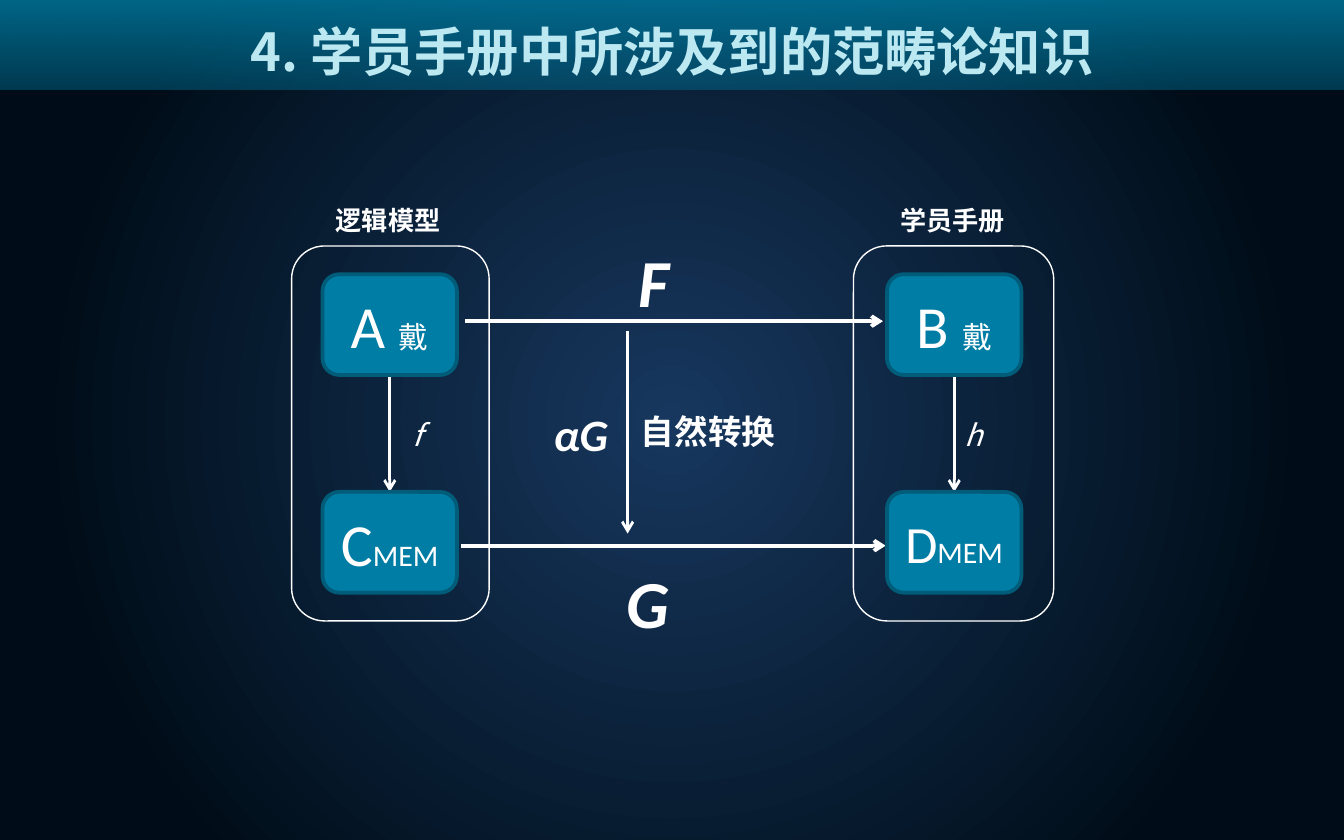
from lxml import etree
from pptx import Presentation
from pptx.dml.color import RGBColor
from pptx.enum import shapes, text
from pptx.oxml import ns, parse_xml
from pptx.util import Inches, Pt

COLORS = {"white": "FFFFFF", "teal": "007DA4", "teal_edge": "005C79",
          "title": "BCE8F2", "glow": "17375E", "night": "000D18"}
LATIN, CJK = "Calibri", "Noto Sans CJK SC"

TITLE = "4. 学员手册中所涉及到的范畴论知识"
# left, top, width, height of each category frame
FRAMES = [(2.17, 1.83, 1.47, 2.79), (6.35, 1.83, 1.49, 2.79)]
COLUMNS, ROWS = (2.4, 6.6), (2.04, 3.66)
NODE_WIDTH, NODE_HEIGHT = 1, 0.75
# row by row: letter, letter size, suffix
NODES = [[("A ", 32, "戴"), ("B ", 32, "戴")],
         [("C", 32, "MEM"), ("D", 28, "MEM")]]
# text, (left, top, width, height), format
LABELS = [
    ("逻辑模型", (2.4, 1.47, 1, 0.34), dict(size=14, bold=True)),
    ("学员手册", (6.6, 1.47, 0.99, 0.34), dict(size=14, bold=True)),
    ("自然转换", (4.67, 3.01, 1.25, 0.4), dict(size=18, bold=True)),
    ("αG", (4.02, 2.98, 0.62, 0.5), dict(size=24, font=LATIN, bold=True, italic=True)),
    ("F", (4.65, 1.74, 0.43, 0.71), dict(size=36, font=LATIN, bold=True, italic=True)),
    ("G", (4.56, 4.13, 0.52, 0.71), dict(size=36, font=LATIN, bold=True, italic=True)),
    ("f", (2.97, 3.05, 0.31, 0.37), dict(size=16, italic=True)),
    ("h", (7.08, 3.05, 0.31, 0.37), dict(size=16, italic=True)),
]
# start, end, line width
ARROWS = [
    ((3.46, 2.39), (6.57, 2.39), 2),
    ((3.43, 4.06), (6.59, 4.06), 2),
    ((4.67, 2.46), (4.67, 3.97), 1.5),
    ((2.9, 2.79), (2.9, 3.66), 1.5),
    ((7.1, 2.79), (7.1, 3.66), 1.5),
]


def rgb(name):
    """Return the named colour."""
    return RGBColor.from_string(COLORS[name])


def set_gradient(fill, stops, direction):
    """Give a fill gradient stops (position, colour, opacity) and a direction."""
    fill.gradient()
    grad = fill._xPr.find(ns.qn("a:gradFill"))
    stop_xml = "".join(
        f'<a:gs pos="{pos * 1000}"><a:srgbClr val="{COLORS[color]}">'
        f'<a:alpha val="{opacity * 1000}"/></a:srgbClr></a:gs>'
        for pos, color, opacity in stops)
    grad.getparent().replace(grad, parse_xml(
        f'<a:gradFill {ns.nsdecls("a")} rotWithShape="1">'
        f'<a:gsLst>{stop_xml}</a:gsLst>{direction}</a:gradFill>'))


def write(paragraph, words, size, font=CJK, color="white", bold=False, italic=False):
    """Append one formatted run to a paragraph."""
    run = paragraph.add_run()
    run.text = words
    run.font.size, run.font.name = Pt(size), font
    run.font.bold, run.font.italic = bold, italic
    run.font.color.rgb = rgb(color)
    east_asian = etree.SubElement(run._r.get_or_add_rPr(), ns.qn("a:ea"))
    east_asian.set("typeface", CJK)


def add_box(slide, kind, place, fill=None, line=None, width=0.75):
    """Add a flat preset shape, hollow or filled."""
    box = slide.shapes.add_shape(kind, *map(Inches, place))
    box.shadow.inherit = False
    if fill:
        box.fill.solid()
        box.fill.fore_color.rgb = rgb(fill)
    else:
        box.fill.background()
    if line:
        box.line.color.rgb, box.line.width = rgb(line), Pt(width)
    else:
        box.line.fill.background()
    return box


def add_arrow(slide, start, end, width):
    """Add a straight white line with an open arrowhead at its end."""
    arrow = slide.shapes.add_connector(
        shapes.MSO_CONNECTOR.STRAIGHT, *map(Inches, start + end))
    arrow.line.color.rgb, arrow.line.width = rgb("white"), Pt(width)
    head = etree.SubElement(arrow.line._get_or_add_ln(), ns.qn("a:tailEnd"))
    head.set("type", "arrow")
    etree.SubElement(arrow._element.spPr, ns.qn("a:effectLst"))


def add_label(slide, words, place, style):
    """Add a text box that fits its single line."""
    frame = slide.shapes.add_textbox(*map(Inches, place)).text_frame
    frame.word_wrap = False
    frame.auto_size = text.MSO_AUTO_SIZE.SHAPE_TO_FIT_TEXT
    write(frame.paragraphs[0], words, **style)


def add_node(slide, left, top, letter, size, suffix):
    """Add a category object: a large letter and a small suffix."""
    node = add_box(slide, shapes.MSO_SHAPE.ROUNDED_RECTANGLE,
                   (left, top, NODE_WIDTH, NODE_HEIGHT), "teal", "teal_edge", 2)
    node.text_frame.vertical_anchor = text.MSO_ANCHOR.MIDDLE
    paragraph = node.text_frame.paragraphs[0]
    paragraph.alignment = text.PP_ALIGN.CENTER
    write(paragraph, letter, size, font=LATIN)
    write(paragraph, suffix, 16, font=LATIN)


def add_header(slide):
    """Put the title on a translucent bar."""
    bar = add_box(slide, shapes.MSO_SHAPE.RECTANGLE, (0, 0, 10, 0.67))
    set_gradient(bar.fill, [(0, "teal", 80), (100, "teal", 39)],
                 '<a:lin ang="5400000" scaled="0"/>')
    slide.shapes._spTree.insert(2, bar._element)
    title = slide.shapes.title
    title.left, title.top, title.width, title.height = map(Inches, (1.5, 0, 7, 0.59))
    frame = title.text_frame
    frame.vertical_anchor = text.MSO_ANCHOR.TOP
    frame.auto_size = text.MSO_AUTO_SIZE.NONE
    paragraph = frame.paragraphs[0]
    paragraph.alignment = text.PP_ALIGN.CENTER
    paragraph.line_spacing = 1.2
    write(paragraph, TITLE, 28, color="title", bold=True)


def main():
    """Build the category diagram."""
    deck = Presentation()
    deck.slide_width, deck.slide_height = Inches(10), Inches(6.25)
    slide = deck.slides.add_slide(deck.slide_layouts[5])
    set_gradient(slide.background.fill, [(0, "glow", 100), (80, "night", 100)],
                 '<a:path path="circle"><a:fillToRect l="50000" t="50000" '
                 'r="50000" b="50000"/></a:path>')
    add_header(slide)
    for place in FRAMES:
        add_box(slide, shapes.MSO_SHAPE.ROUNDED_RECTANGLE, place, line="white")
    for arrow in ARROWS:
        add_arrow(slide, *arrow)
    for label in LABELS:
        add_label(slide, *label)
    for top, row in zip(ROWS, NODES):
        for left, node in zip(COLUMNS, row):
            add_node(slide, left, top, *node)
    deck.save("out.pptx")


main()
